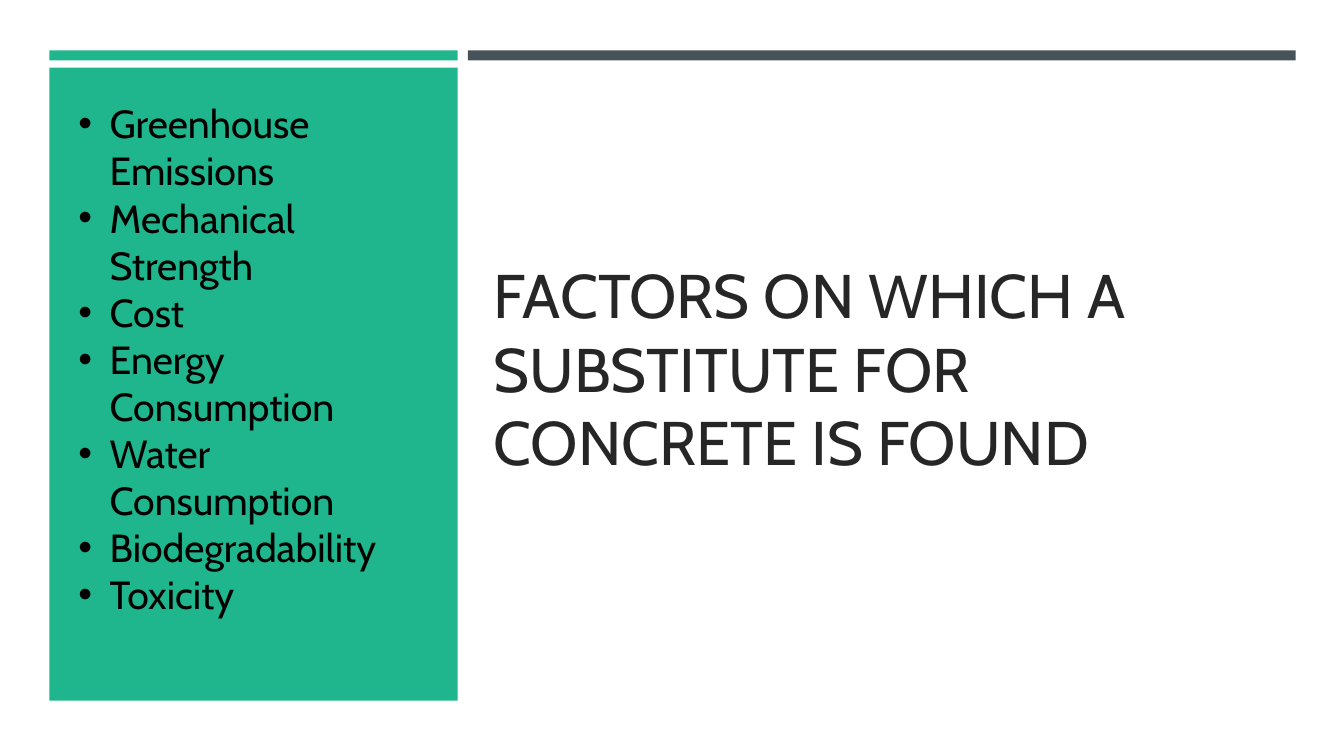
from lxml import etree
from pptx import Presentation
from pptx.dml.color import RGBColor
from pptx.enum.shapes import MSO_SHAPE
from pptx.enum.text import MSO_ANCHOR, PP_ALIGN
from pptx.oxml.ns import qn
from pptx.util import Inches, Pt

COLORS = {
    "white": "FFFFFF",
    "green": "20B68D",
    "slate": "465359",
    "title": "262626",
    "black": "000000",
}
FACTORS = [
    "Greenhouse Emissions",
    "Mechanical Strength",
    "Cost",
    "Energy Consumption",
    "Water Consumption",
    "Biodegradability",
    "Toxicity",
]
HANGING = Inches(0.31)


def add_text_frame(left, top, width, height, anchor):
    frame = slide.shapes.add_textbox(
        Inches(left), Inches(top), Inches(width), Inches(height)).text_frame
    frame.word_wrap = True
    frame.vertical_anchor = anchor
    return frame


def add_run(paragraph, text, size, color):
    paragraph.alignment = PP_ALIGN.LEFT
    run = paragraph.add_run()
    run.text = text
    run.font.name = "Cabin"
    run.font.size = Pt(size)
    run.font.color.rgb = RGBColor.from_string(COLORS[color])


prs = Presentation()
prs.slide_width = Inches(13.33)
prs.slide_height = Inches(7.5)
slide = prs.slides.add_slide(prs.slide_layouts[6])

# Backdrop, the two bars along the top, and the panel behind the list
for left, top, width, height, color in [
    (0, 0, 13.33, 7.5, "white"),
    (0.49, 0.5, 4.05, 0.1, "green"),
    (4.64, 0.5, 8.21, 0.1, "slate"),
    (0.49, 0.67, 4.05, 6.28, "green"),
]:
    block = slide.shapes.add_shape(
        MSO_SHAPE.RECTANGLE, Inches(left), Inches(top), Inches(width), Inches(height))
    block.shadow.inherit = False
    block.fill.solid()
    block.fill.fore_color.rgb = RGBColor.from_string(COLORS[color])
    block.line.fill.background()

title = add_text_frame(4.8, 0.94, 7.88, 5.41, MSO_ANCHOR.MIDDLE)
add_run(title.paragraphs[0], "FACTORS ON WHICH A SUBSTITUTE FOR CONCRETE IS FOUND", 44, "title")

factor_list = add_text_frame(0.68, 0.94, 3.63, 6.53, MSO_ANCHOR.TOP)
for index, factor in enumerate(FACTORS):
    item = factor_list.add_paragraph() if index else factor_list.paragraphs[0]
    add_run(item, factor, 28, "black")
    properties = item._p.get_or_add_pPr()
    properties.set("marL", str(HANGING))
    properties.set("indent", str(-HANGING))
    etree.SubElement(properties, qn("a:buFont"), typeface="Arial")
    etree.SubElement(properties, qn("a:buChar"), char="•")

prs.save("out.pptx")
